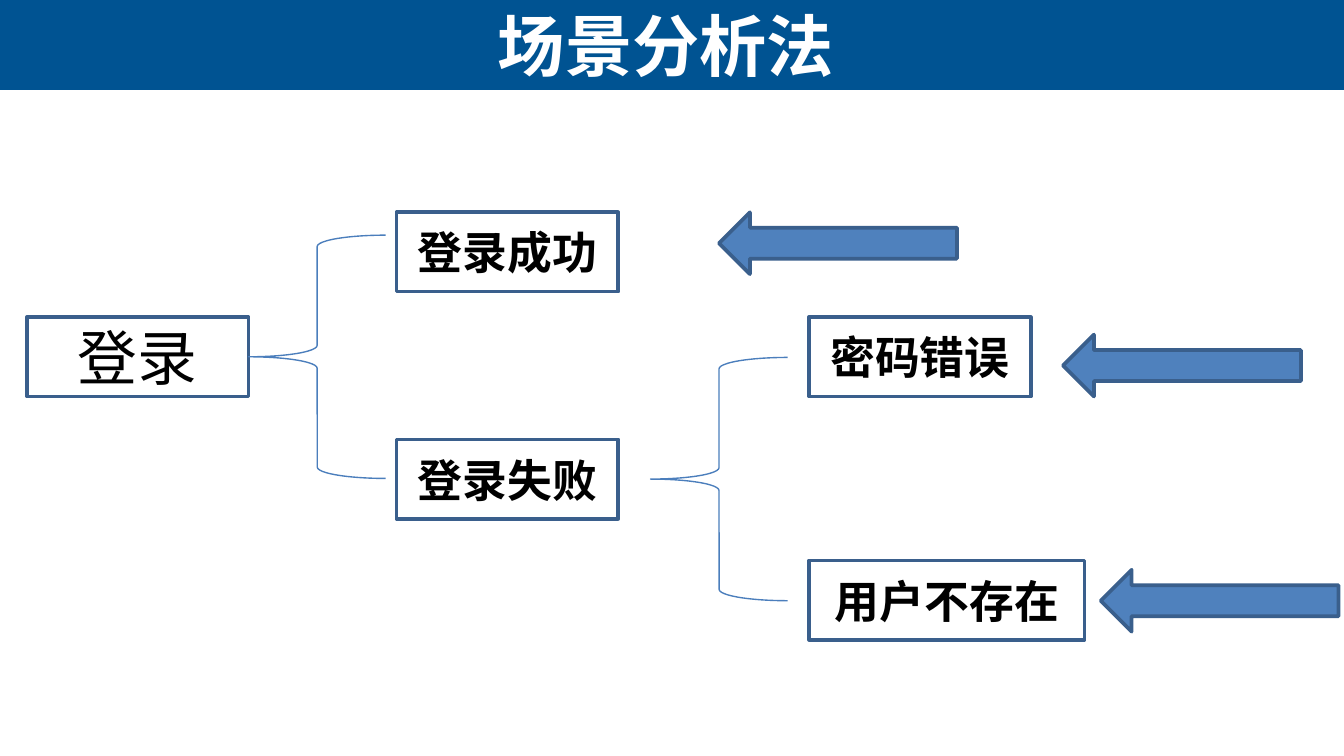
"""Build the login scenario tree slide."""
from pptx import Presentation
from pptx.dml.color import RGBColor
from pptx.enum.shapes import MSO_SHAPE as Kind
from pptx.enum.text import MSO_ANCHOR as Anchor, PP_ALIGN as Align
from pptx.util import Inches, Pt

COL = ROW = Inches(0.1)
EDGE = "3A5F8C"


def rgb(code):
    return RGBColor.from_string(code)


def put(kind, x, y, w, h, text="", fill=None, line=None, width=2,
        size=24, bold=True, color="000000", font="Calibri"):
    shape = deck.shapes.add_shape(
        kind, int(x * COL), int(y * ROW), int(w * COL), int(h * ROW))
    shape.shadow.inherit = False
    if fill:
        shape.fill.solid()
        shape.fill.fore_color.rgb = rgb(fill)
    else:
        shape.fill.background()
    if line:
        shape.line.color.rgb = rgb(line)
        shape.line.width = Pt(width)
    else:
        shape.line.fill.background()
    if text:
        frame = shape.text_frame
        frame.word_wrap = True
        frame.vertical_anchor = Anchor.MIDDLE
        para = frame.paragraphs[0]
        para.alignment = Align.CENTER
        run = para.add_run()
        run.text = text
        run.font.size = Pt(size)
        run.font.bold = bold
        run.font.name = font
        run.font.color.rgb = rgb(color)


show = Presentation()
show.slide_width = 100 * COL
show.slide_height = show.slide_width * 9 // 16
deck = show.slides.add_slide(show.slide_layouts[6])

put(Kind.RECTANGLE, 0, 0, 100, 6.7, fill="005392")
put(Kind.RECTANGLE, 0.2, 0, 98.7, 6.7, "场景分析法",
    size=36, color="FFFFFF", font="Arial")

put(Kind.RECTANGLE, 2, 23.6, 16.5, 5.9, "登录", line=EDGE, size=32, bold=False)
for text, x, y, w in [("登录成功", 29.5, 15.8, 16.5),
                      ("登录失败", 29.5, 32.7, 16.5),
                      ("密码错误", 60.2, 23.6, 16.5),
                      ("用户不存在", 60.2, 41.7, 20.5)]:
    put(Kind.RECTANGLE, x, y, w, 5.9, text, line=EDGE)

for x, y in [(18.5, 17.5), (48.4, 26.6)]:
    put(Kind.LEFT_BRACE, x, y, 10.2, 18.1, line="4B7EBC", width=0.75)

for x, y in [(53.5, 15.8), (79.1, 24.9), (81.9, 42.4)]:
    put(Kind.LEFT_ARROW, x, y, 17.7, 4.6, fill="4F81BD", line=EDGE)

show.save("out.pptx")
